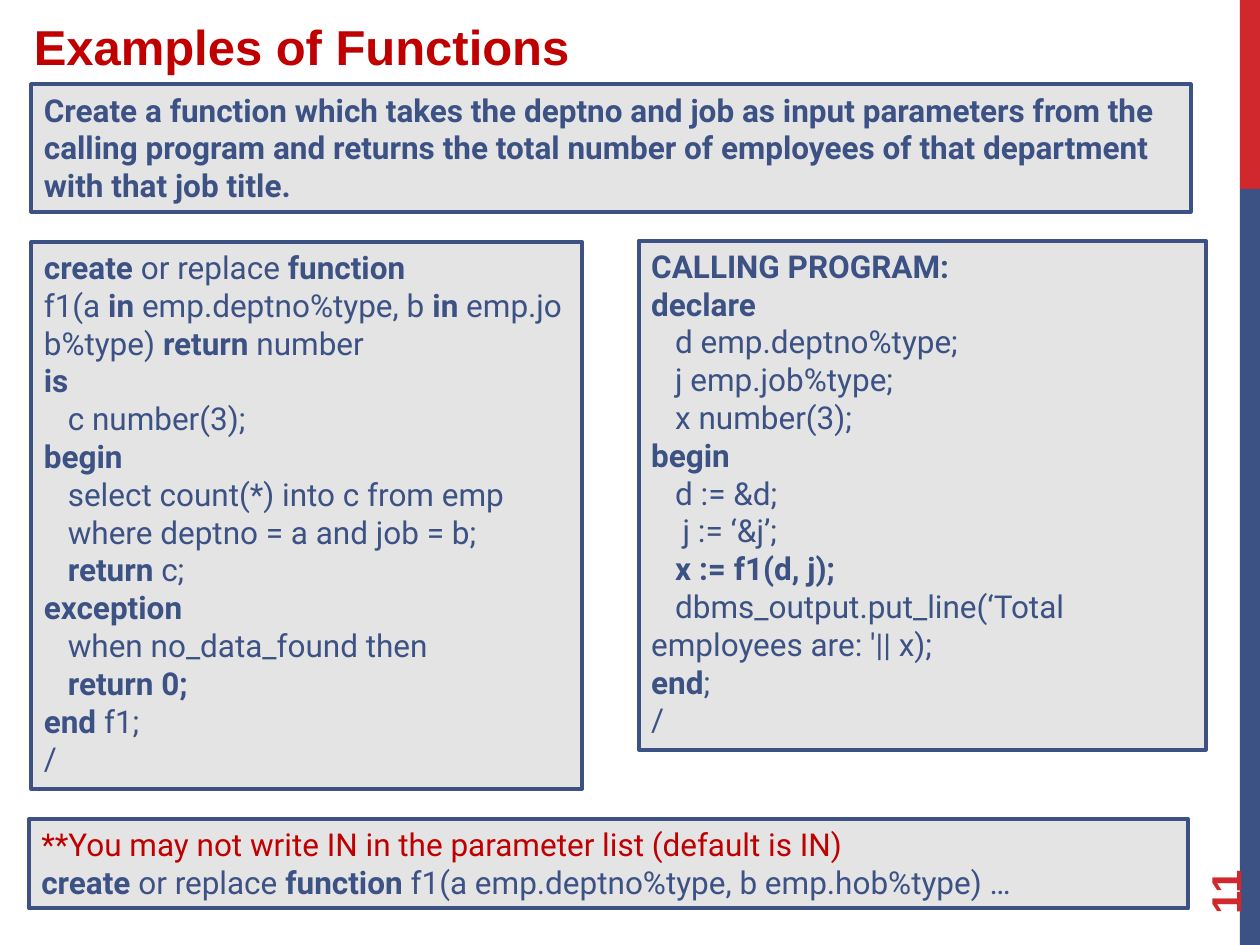
from pptx import Presentation
from pptx.dml.color import RGBColor
from pptx.enum.shapes import MSO_SHAPE as Shape
from pptx.enum.text import MSO_ANCHOR as Anchor, PP_ALIGN as Align
from pptx.util import Inches, Pt

COLORS = {"red": "D1282E", "navy": "3C5184", "title": "C00000", "panel": "E4E4E4"}
BOLD_MARK = "`"
HARD_SPACE = "~"
STEP = 0.19

SIDE_BARS = [("red", 0, 1.5), ("navy", 1.5, 6)]

TASK = [
    (0, "`Create a function which takes the deptno and job as input parameters from the "
        "calling program and returns the total number of employees of that department "
        "with that job title.`"),
]
FUNCTION_CODE = [
    (0, "`create` or replace `function`"),
    (0, "f1(a~`in~`emp.deptno%type,~b~`in~`emp.job%type)~`return`~number"),
    (0, "`is`"),
    (STEP, "c number(3);"),
    (0, "`begin`"),
    (STEP, "select count(*) into c from emp"),
    (STEP, "where deptno = a and job = b;"),
    (STEP, "`return` c;"),
    (0, "`exception`"),
    (STEP, "when no_data_found then"),
    (STEP, "`return 0;`"),
    (0, "`end `f1;"),
    (0, "/"),
]
CALLING_CODE = [
    (0, "`CALLING PROGRAM:`"),
    (0, "`declare`"),
    (STEP, "d emp.deptno%type;"),
    (STEP, "j emp.job%type;"),
    (STEP, "x number(3);"),
    (0, "`begin`"),
    (STEP, "d := &d;"),
    (0.25, "j := ‘&j’;"),
    (STEP, "`x := f1(d, j);`"),
    (STEP, "dbms_output.put_line(‘Total employees are: '||~x);"),
    (0, "`end`;"),
    (0, "/"),
]
NOTE = [
    (0, "**You may not write IN in the parameter list (default is IN)"),
    (0, "`create` or replace `function `f1(a emp.deptno%type, b emp.hob%type) …"),
]
PANELS = [
    ((0.25, 1.92, 4.37, 4.34), FUNCTION_CODE),
    ((5.07, 1.91, 4.5, 4.04), CALLING_CODE),
    ((0.25, 0.67, 9.2, 1.01), TASK),
    ((0.23, 6.5, 9.2, 0.71), NOTE),
]


def rgb(name):
    return RGBColor.from_string(COLORS[name])


def style(span, font, size, color, bold):
    span.font.name = font
    span.font.size = Pt(size)
    span.font.color.rgb = rgb(color)
    span.font.bold = bold


def add_block(page, place, fill):
    block = page.shapes.add_shape(Shape.RECTANGLE, *map(Inches, place))
    block.shadow.inherit = False
    block.fill.solid()
    block.fill.fore_color.rgb = rgb(fill)
    block.line.fill.background()
    return block


def add_panel(page, place, lines):
    panel = add_block(page, place, "panel")
    panel.line.color.rgb = rgb("navy")
    panel.line.width = Pt(2.25)
    frame = panel.text_frame
    frame.word_wrap = True
    frame.vertical_anchor = Anchor.TOP
    for index, (indent, line) in enumerate(lines):
        para = frame.add_paragraph() if index else frame.paragraphs[0]
        para.alignment = Align.LEFT
        if indent:
            para._p.get_or_add_pPr().set("indent", str(Inches(indent)))
        color = "title" if line.startswith("**") else "navy"
        for part, text in enumerate(line.replace(HARD_SPACE, "\u00a0").split(BOLD_MARK)):
            if text:
                span = para.add_run()
                span.text = text
                style(span, "Roboto", 18, color, part % 2 == 1)


def add_label(page, place, text, size, color):
    box = page.shapes.add_textbox(*map(Inches, place))
    box.text_frame.word_wrap = True
    para = box.text_frame.paragraphs[0]
    para.text = text
    style(para.runs[0], "Arial", size, color, True)
    return box


deck = Presentation()
deck.slide_width, deck.slide_height = Inches(10), Inches(7.5)
page = deck.slides.add_slide(deck.slide_layouts[6])

for color, top, height in SIDE_BARS:
    add_block(page, (9.84, top, 0.16, height), color)

number = add_label(page, (9, 6.44, 1.44, 0.4), "11", 24, "red")
number.rotation = 270
number.text_frame.vertical_anchor = Anchor.MIDDLE

title = add_label(page, (0.17, 0.08, 6.83, 0.67), "Examples of Functions", 28, "title")
title.text_frame.paragraphs[0].space_before = Pt(3)
title.text_frame.paragraphs[0].space_after = Pt(6)

for place, lines in PANELS:
    add_panel(page, place, lines)

deck.save("out.pptx")
